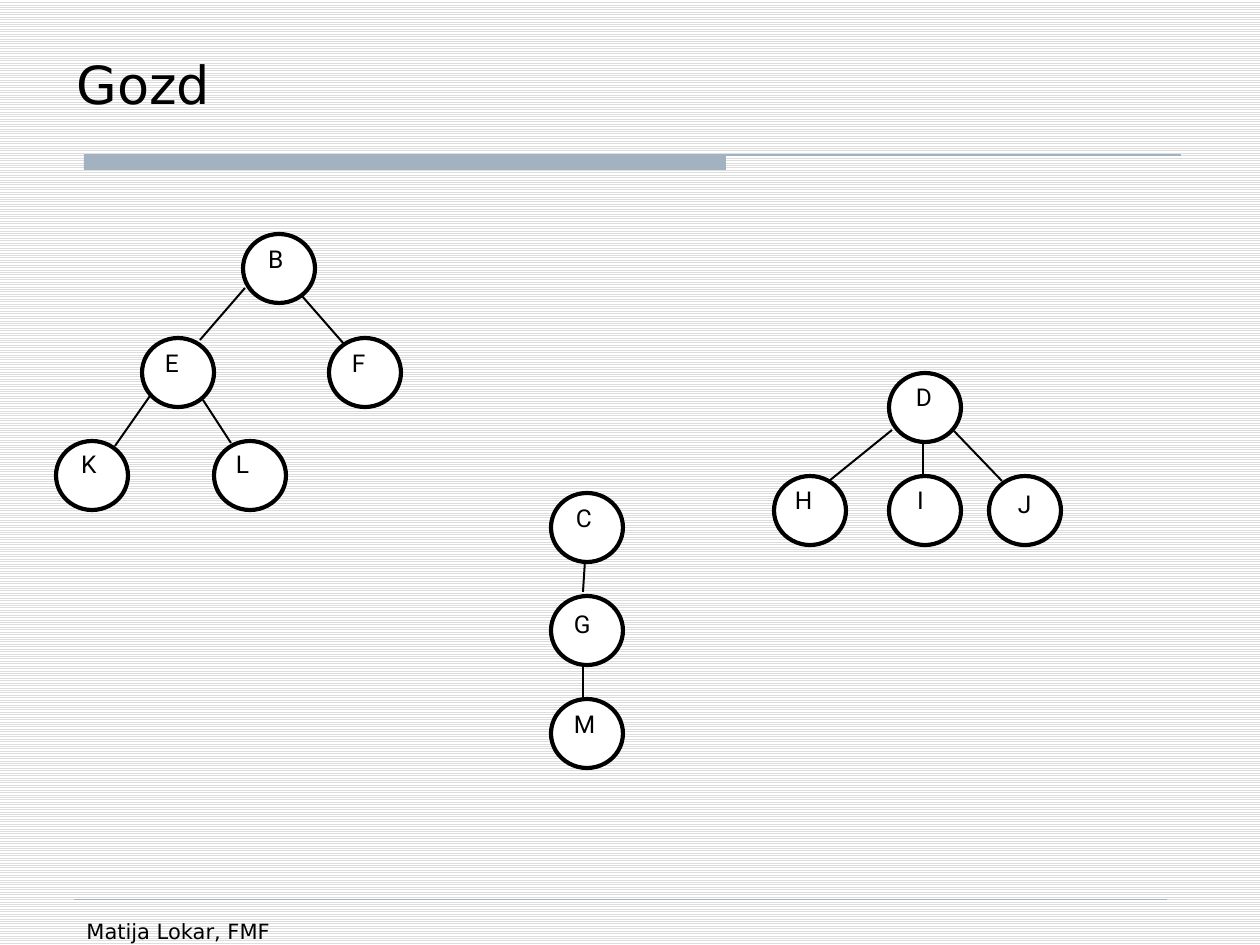
from lxml import etree
from pptx import Presentation
from pptx.dml.color import RGBColor
from pptx.enum.dml import MSO_PATTERN
from pptx.enum.shapes import MSO_CONNECTOR, MSO_SHAPE
from pptx.enum.text import MSO_ANCHOR, MSO_AUTO_SIZE, PP_ALIGN
from pptx.oxml.ns import qn
from pptx.util import Emu, Pt

STRIPES = MSO_PATTERN.LIGHT_HORIZONTAL
STRAIGHT = MSO_CONNECTOR.STRAIGHT
RECTANGLE, OVAL = MSO_SHAPE.RECTANGLE, MSO_SHAPE.OVAL
BOTTOM = MSO_ANCHOR.BOTTOM
FIT_SHAPE = MSO_AUTO_SIZE.SHAPE_TO_FIT_TEXT
LEFT = PP_ALIGN.LEFT

BLACK = RGBColor(0x00, 0x00, 0x00)
WHITE = RGBColor(0xFF, 0xFF, 0xFF)
STRIPE_GREY = RGBColor(0xDD, 0xDD, 0xDD)
BLUE_GREY = RGBColor(0xA3, 0xB2, 0xC1)

NODE_WIDTH, NODE_HEIGHT = 72, 69
LABEL_HEIGHT = 29


def px(*lengths):
    return [Emu(round(length * 914400 / 126)) for length in lengths]


def add_line(shapes, ends, color, width):
    line = shapes.add_connector(STRAIGHT, *px(*ends))
    line.line.color.rgb = color
    line.line.width = Pt(width)
    etree.SubElement(line._element.spPr, qn("a:effectLst"))


presentation = Presentation()
presentation.slide_width, presentation.slide_height = px(1260, 945)
slide = presentation.slides.add_slide(presentation.slide_layouts[5])

# Striped background
background = slide.background.fill
background.patterned()
background.pattern = STRIPES
background.fore_color.rgb = STRIPE_GREY
background.back_color.rgb = WHITE

# Title rule and footer rule
bar = slide.shapes.add_shape(RECTANGLE, *px(84, 155, 642, 15))
bar.shadow.inherit = False
bar.fill.solid()
bar.fill.fore_color.rgb = BLUE_GREY
bar.line.fill.background()
add_line(slide.shapes, (84, 155, 1181, 155), BLUE_GREY, 0.75)
add_line(slide.shapes, (74, 899, 1167, 899), BLUE_GREY, 0.25)

# Footer
footer = slide.shapes.add_textbox(*px(74, 912, 273, 66))
footer.text_frame.word_wrap = True
footer.text_frame.text = "Matija Lokar, FMF"
font = footer.text_frame.paragraphs[0].font
font.name, font.size = "DejaVu Sans", Pt(12)
font.color.rgb = BLACK

# Title
title = slide.shapes.title
title.left, title.top, title.width, title.height = px(64, 26, 1102, 95)
title.text_frame.text = "Gozd"
title.text_frame.vertical_anchor = BOTTOM
paragraph = title.text_frame.paragraphs[0]
paragraph.alignment = LEFT
paragraph.font.name, paragraph.font.size = "DejaVu Sans", Pt(30)
paragraph.font.color.rgb = BLACK

# Trees: nodes as (letter, left, top, label left, label top, label width),
# edges as (x1, y1, x2, y2)
trees = [
    (
        [
            ("B", 243, 234, 268, 244, 16),
            ("E", 142, 338, 165, 348, 16),
            ("F", 329, 338, 352, 348, 15),
            ("K", 56, 441, 81, 449, 16),
            ("L", 214, 441, 236, 449, 14),
        ],
        [
            (245, 288, 200, 340),
            (302, 296, 344, 344),
            (150, 396, 115, 446),
            (203, 400, 231, 443),
        ],
    ),
    (
        [
            ("C", 551, 493, 576, 503, 17),
            ("G", 551, 596, 574, 609, 18),
            ("M", 551, 699, 574, 709, 21),
        ],
        [
            (585, 561, 583, 592),
            (583, 665, 583, 699),
        ],
    ),
    (
        [
            ("D", 889, 373, 916, 382, 17),
            ("H", 774, 476, 795, 485, 18),
            ("I", 889, 476, 917, 485, 7),
            ("J", 989, 476, 1018, 489, 13),
        ],
        [
            (892, 430, 829, 481),
            (923, 442, 923, 475),
            (954, 431, 1002, 481),
        ],
    ),
]

for nodes, edges in trees:
    shapes = slide.shapes.add_group_shape().shapes

    for letter, left, top, *label_place in nodes:
        node = shapes.add_shape(OVAL, *px(left, top, NODE_WIDTH, NODE_HEIGHT))
        node.shadow.inherit = False
        node.fill.solid()
        node.fill.fore_color.rgb = WHITE
        node.line.color.rgb = BLACK
        node.line.width = Pt(2.38)

    for letter, left, top, *label_place in nodes:
        label = shapes.add_textbox(*px(*label_place, LABEL_HEIGHT))
        frame = label.text_frame
        frame.margin_left = frame.margin_right = 0
        frame.margin_top = frame.margin_bottom = 0
        frame.word_wrap = False
        frame.auto_size = FIT_SHAPE
        frame.text = letter
        font = frame.paragraphs[0].font
        font.name, font.size = "Roboto", Pt(14)
        font.color.rgb = BLACK

    for edge in edges:
        add_line(shapes, edge, BLACK, 1.13)

presentation.save("out.pptx")
